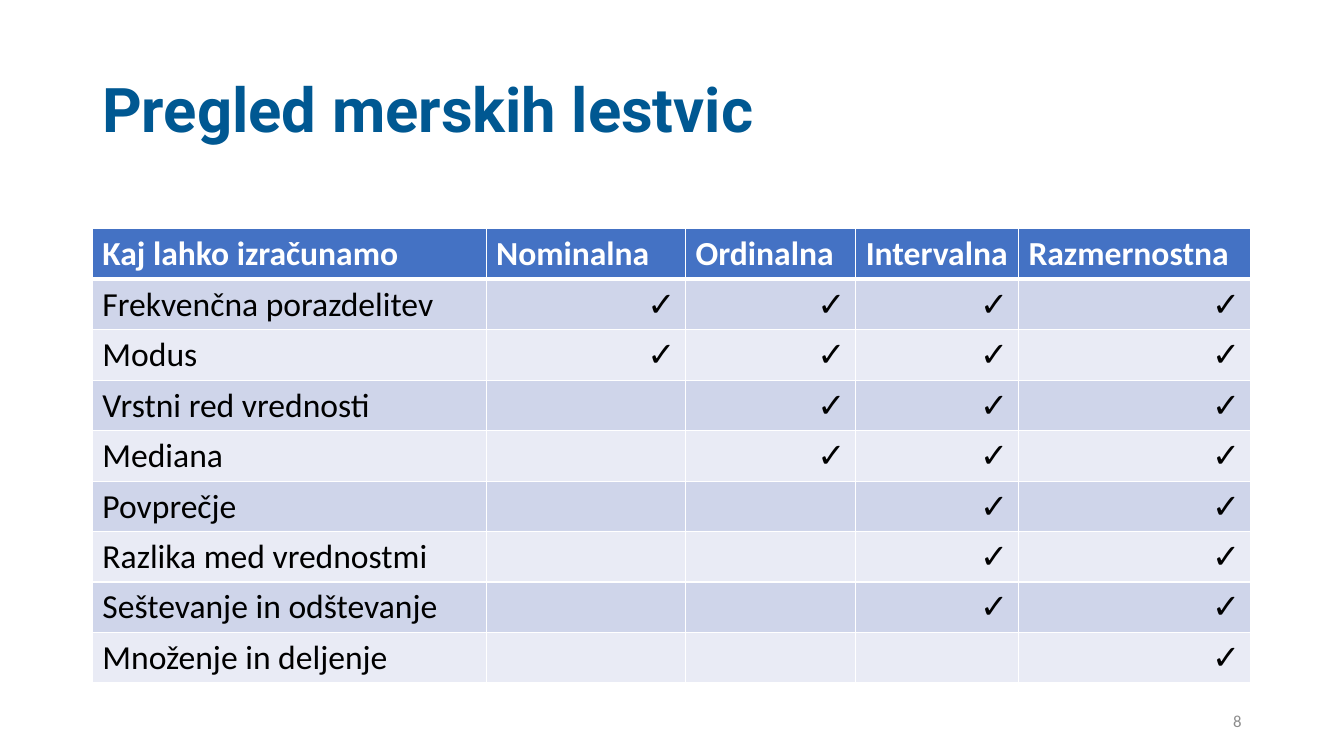
from typing import NamedTuple

from lxml import etree
from pptx import Presentation
from pptx.dml.color import RGBColor
from pptx.enum.text import MSO_ANCHOR, PP_ALIGN
from pptx.oxml.ns import qn
from pptx.util import Emu, Pt

LEFT, RIGHT = PP_ALIGN.LEFT, PP_ALIGN.RIGHT
MIDDLE = MSO_ANCHOR.MIDDLE

EMU_PER_PX = 9525
COLORS = {
    "title": "005892",
    "number": "8C8C8C",
    "header": "4472C4",
    "odd_row": "CFD5EA",
    "even_row": "E9EBF5",
    "white": "FFFFFF",
    "black": "000000",
}


class Style(NamedTuple):
    font: str
    size: int
    color: str
    bold: bool = False


class Label(NamedTuple):
    text: str
    box: tuple[int, int, int, int]
    style: Style
    align: PP_ALIGN
    line_spacing: float


class Operation(NamedTuple):
    name: str
    first_scale: int  # lowest scale that allows it; all higher ones do too


LABELS = [
    Label("Pregled merskih lestvic", (88, 38, 1104, 139),
          Style("Roboto", 44, "title", True), LEFT, 0.9),
    Label("8", (904, 667, 288, 38), Style("Calibri", 12, "number"), RIGHT, 1.0),
]
HEADER_STYLE = Style("Calibri", 24, "white", True)
BODY_STYLE = Style("Calibri", 24, "black")

HEADERS = ["Kaj lahko izračunamo", "Nominalna", "Ordinalna", "Intervalna", "Razmernostna"]
OPERATIONS = [
    Operation("Frekvenčna porazdelitev", 1),
    Operation("Modus", 1),
    Operation("Vrstni red vrednosti", 2),
    Operation("Mediana", 2),
    Operation("Povprečje", 3),
    Operation("Razlika med vrednostmi", 3),
    Operation("Seštevanje in odštevanje", 3),
    Operation("Množenje in deljenje", 4),
]
CHECK = "✓"
TABLE_LEFT, TABLE_TOP = 88, 218
COLUMN_WIDTHS = [375, 190, 162, 155, 221]
ROW_HEIGHT = 48
THIN, THICK = 1, 3


def px(length: int) -> Emu:
    return Emu(length * EMU_PER_PX)


def rgb(name: str) -> RGBColor:
    return RGBColor.from_string(COLORS[name])


def write(text_frame, text: str, style: Style, align: PP_ALIGN) -> None:
    text_frame.text = text
    paragraph = text_frame.paragraphs[0]
    paragraph.alignment = align
    for run in paragraph.runs:
        run.font.name = style.font
        run.font.size = Pt(style.size)
        run.font.bold = style.bold
        run.font.color.rgb = rgb(style.color)


def add_label(slide, label: Label) -> None:
    shape = slide.shapes.add_textbox(*map(px, label.box))
    text_frame = shape.text_frame
    text_frame.word_wrap = True
    text_frame.vertical_anchor = MIDDLE
    write(text_frame, label.text, label.style, label.align)
    text_frame.paragraphs[0].line_spacing = label.line_spacing


def set_borders(cell, top: int, bottom: int) -> None:
    """Draw white cell borders; widths are in points, the sides are thin."""
    properties = cell._tc.get_or_add_tcPr()
    for side, width in (("L", THIN), ("R", THIN), ("T", top), ("B", bottom)):
        line = etree.SubElement(properties, qn(f"a:ln{side}"), w=str(Pt(width)))
        fill = etree.SubElement(line, qn("a:solidFill"))
        etree.SubElement(fill, qn("a:srgbClr"), val=COLORS["white"])


def add_scale_table(slide) -> None:
    scales = range(1, len(HEADERS))
    rows = [HEADERS] + [
        [operation.name] + [CHECK if scale >= operation.first_scale else "" for scale in scales]
        for operation in OPERATIONS
    ]
    frame = slide.shapes.add_table(
        len(rows), len(HEADERS), px(TABLE_LEFT), px(TABLE_TOP),
        px(sum(COLUMN_WIDTHS)), px(ROW_HEIGHT * len(rows)))
    table = frame.table
    for column, width in zip(table.columns, COLUMN_WIDTHS):
        column.width = px(width)
    for row_index, texts in enumerate(rows):
        is_header = row_index == 0
        style = HEADER_STYLE if is_header else BODY_STYLE
        band = "header" if is_header else "odd_row" if row_index % 2 else "even_row"
        for column_index, text in enumerate(texts):
            cell = table.cell(row_index, column_index)
            align = LEFT if is_header or column_index == 0 else RIGHT
            write(cell.text_frame, text, style, align)
            set_borders(cell, THICK if row_index == 1 else THIN, THICK if is_header else THIN)
            cell.fill.solid()
            cell.fill.fore_color.rgb = rgb(band)


def main() -> None:
    presentation = Presentation()
    presentation.slide_width, presentation.slide_height = px(1280), px(720)
    slide = presentation.slides.add_slide(presentation.slide_layouts[6])
    for label in LABELS:
        add_label(slide, label)
    add_scale_table(slide)
    presentation.save("out.pptx")


if __name__ == "__main__":
    main()
